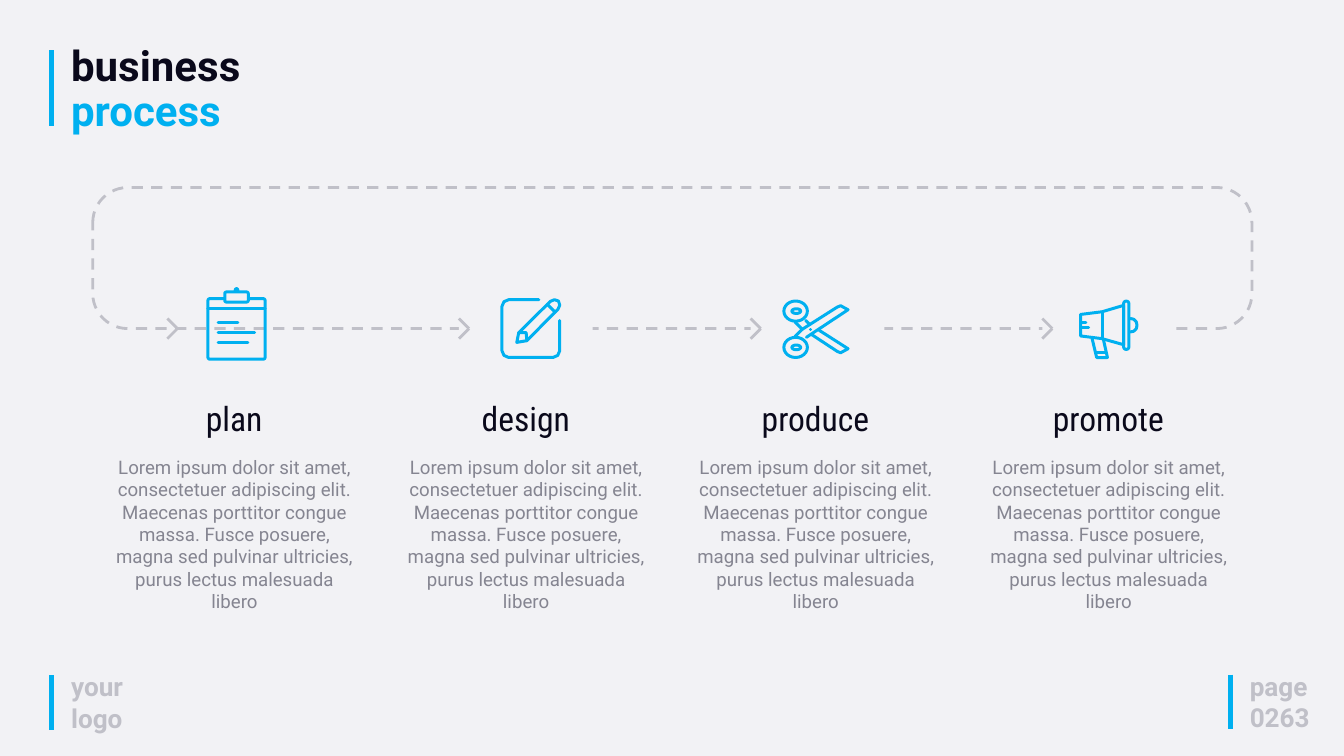
from math import cos, radians, sin

from lxml.etree import SubElement
from pptx import Presentation
from pptx.dml.color import RGBColor
from pptx.enum.dml import MSO_LINE
from pptx.enum.shapes import MSO_CONNECTOR, MSO_SHAPE
from pptx.enum.text import MSO_AUTO_SIZE as AutoSize, PP_ALIGN as Align
from pptx.oxml.ns import qn
from pptx.util import Inches, Pt

COLORS = {
    "background": "F2F2F5",
    "accent": "00B0F0",
    "dark": "0A091B",
    "body": "858591",
    "muted": "C0C0C8",
}
FORMATS = {
    "title": {"name": "Roboto", "size": Pt(45), "bold": True},
    "footer": {"name": "Roboto", "size": Pt(28), "bold": True},
    "heading": {"name": "Roboto Condensed", "size": Pt(36)},
    "body": {"name": "Roboto", "size": Pt(20)},
}
LOREM = (
    "Lorem ipsum dolor sit amet, consectetuer adipiscing elit. Maecenas porttitor congue massa. "
    "Fusce posuere, magna sed pulvinar ultricies, purus lectus malesuada libero"
)
STEPS = [("plan", 1.56), ("design", 5.9), ("produce", 10.21), ("promote", 14.57)]
STEP_PITCH = 4.34
ICON_WEIGHT = 3.2


def color(name):
    return RGBColor.from_string(COLORS[name])


def add_line(shapes, start, end, line_color, weight):
    points = [Inches(value) for value in (*start, *end)]
    line = shapes.add_connector(MSO_CONNECTOR.STRAIGHT, *points)
    line.line.color.rgb = color(line_color)
    line.line.width = Pt(weight)
    SubElement(line._element.spPr, qn("a:effectLst"))


def paint(shape, fill=None, line=None, weight=ICON_WEIGHT):
    shape.shadow.inherit = False
    if fill:
        shape.fill.solid()
        shape.fill.fore_color.rgb = color(fill)
    else:
        shape.fill.background()
    if line:
        shape.line.color.rgb = color(line)
        shape.line.width = Pt(weight)
    else:
        shape.line.fill.background()
    return shape


def add_preset(shapes, preset, box, **style):
    return paint(shapes.add_shape(preset, *map(Inches, box)), **style)


def add_text(shapes, box, paragraphs, style, align=Align.LEFT, spacing=None):
    frame = shapes.add_textbox(*map(Inches, box)).text_frame
    frame.word_wrap = True
    frame.auto_size = AutoSize.SHAPE_TO_FIT_TEXT
    for index, runs in enumerate(paragraphs):
        paragraph = frame.add_paragraph() if index else frame.paragraphs[0]
        paragraph.alignment = align
        paragraph.line_spacing = spacing
        for position, (text, text_color) in enumerate(runs):
            if position:
                paragraph.add_line_break()
            run = paragraph.add_run()
            run.text = text
            for attribute, value in FORMATS[style].items():
                setattr(run.font, attribute, value)
            run.font.color.rgb = color(text_color)


class Icon:
    def __init__(self, slide, left, top):
        self.shapes = slide.shapes.add_group_shape().shapes
        self.left, self.top = left, top

    def locate(self, x, y):
        return Inches(self.left + x / 100), Inches(self.top + y / 100)

    def trace(self, contours, closed=False):
        builder = None
        for contour in contours:
            first, *rest = [self.locate(*point) for point in contour]
            if builder is None:
                builder = self.shapes.build_freeform(*first)
            else:
                builder.move_to(*first)
            builder.add_line_segments(rest, close=closed)
        shape = paint(builder.convert_to_shape(), line="accent")
        outline = shape.line._get_or_add_ln()
        outline.set("cap", "rnd")
        SubElement(outline, qn("a:round"))

    def stroke(self, *points, closed=False):
        self.trace([points], closed)

    def preset(self, preset, x, y, width, height, fill=None, radius=None):
        box = (self.left + x / 100, self.top + y / 100, width / 100, height / 100)
        shape = add_preset(self.shapes, preset, box, fill=fill, line="accent")
        if radius is not None:
            shape.adjustments[0] = radius


def ring(x, y, radius_x, radius_y):
    angles = [radians(angle) for angle in range(0, 361, 15)]
    return [(x + radius_x * cos(angle), y + radius_y * sin(angle)) for angle in angles]


def draw_clipboard(icon):
    icon.preset(MSO_SHAPE.ROUNDED_RECTANGLE, 2.5, 17.5, 85, 90, radius=0.03)
    icon.stroke((2.5, 32.5), (87.5, 32.5))
    icon.preset(MSO_SHAPE.OVAL, 43, 2.5, 4, 5, fill="accent")
    icon.preset(MSO_SHAPE.ROUNDED_RECTANGLE, 27.5, 7.5, 35, 15, fill="background", radius=0.15)
    for row, end in enumerate((47, 72, 62)):
        y = 52.5 + 15 * row
        icon.stroke((17.5, y), (end, y))


def draw_pencil(icon):
    icon.stroke((57, 2), (12, 2), (5, 5), (2, 12), (2, 78), (5, 85), (12, 88),
                (78, 88), (85, 85), (88, 78), (88, 33))
    icon.stroke((24, 65.5), (27, 51), (74, 4.5), (80, 2), (86, 4), (88, 10),
                (85.5, 16), (39, 63), closed=True)
    icon.stroke((27, 51), (38, 51), (39, 63))
    icon.stroke((69.5, 9), (81, 20.5))


def draw_scissors(icon):
    rings = []
    for y in (19, 73):
        rings += [ring(20, y, 17.5, 15), ring(21, y, 6.5, 3.5)]
    rising_blade = [(19, 57), (30, 46), (82, 13), (87, 11), (98, 17), (36, 58)]
    falling_blade = [(55, 47.5), (98, 75), (87, 81), (82, 79), (44, 54)]
    handle = [[(19, 35), (30, 46)], [(35, 33), (41, 39)]]
    pivot = [(42, 46), (42.5, 46)]
    icon.trace([*rings, rising_blade, falling_blade, *handle, pivot])


def draw_megaphone(icon):
    icon.stroke((2, 22), (34, 18), (66, 8.5), (66, 67), (34, 58), (2, 54), closed=True)
    icon.stroke((34, 18), (34, 58))
    icon.preset(MSO_SHAPE.ROUNDED_RECTANGLE, 66, 2, 8, 72, radius=0.5)
    icon.stroke((76, 28), (81, 29), (85, 33), (86, 38), (85, 43), (81, 47), (76, 48))
    icon.stroke((19, 57), (26, 86), (42, 86), (36, 59))
    icon.stroke((25, 78), (40, 78))
    icon.stroke((4, 34), (10, 34))
    icon.stroke((4, 42), (14, 42))


ICONS = [
    (draw_clipboard, 3.07, 4.27),
    (draw_pencil, 7.45, 4.44),
    (draw_scissors, 11.64, 4.44),
    (draw_megaphone, 16.06, 4.46),
]


def add_title(slide, left, top):
    add_line(slide.shapes, (left, top), (left, top + 1.13), "accent", 5)
    runs = [("business", "dark"), ("process", "accent")]
    add_text(slide.shapes, (left + 0.19, top - 0.13, 9.04, 1.42), [runs], "title", spacing=0.9)


def add_footer(slide, left, top, width, lines):
    add_line(slide.shapes, (left, top), (left, top + 0.81), "accent", 5)
    paragraphs = [[(line, "muted")] for line in lines]
    add_text(slide.shapes, (left + 0.19, top - 0.12, width, 1.04), paragraphs, "footer")


def add_loop(slide, left, top, width, height):
    loop = add_preset(slide.shapes, MSO_SHAPE.ROUNDED_RECTANGLE, (left, top, width, height),
                      line="muted", weight=3)
    loop.adjustments[0] = 0.249
    loop.line.dash_style = MSO_LINE.DASH
    bottom = top + height
    for index in range(len(STEPS)):
        x = left + 1.11 + STEP_PITCH * index
        if index:
            add_preset(slide.shapes, MSO_SHAPE.RECTANGLE, (x, top + 0.84, 1.99, 2.52),
                       fill="background")
        tip = (x + 0.15, bottom)
        add_line(slide.shapes, (x, bottom - 0.15), tip, "muted", 3)
        add_line(slide.shapes, tip, (x, bottom + 0.15), "muted", 3)


def add_step(slide, left, top, heading):
    shapes = slide.shapes.add_group_shape().shapes
    add_text(shapes, (left, top + 0.86, 3.86, 2.46), [[(LOREM, "body")]], "body", Align.CENTER)
    add_text(shapes, (left + 0.02, top, 3.81, 0.71), [[(heading, "dark")]], "heading", Align.CENTER)


def main():
    presentation = Presentation()
    presentation.slide_width = Inches(20)
    presentation.slide_height = Inches(11.25)
    slide = presentation.slides.add_slide(presentation.slide_layouts[6])
    slide.background.fill.solid()
    slide.background.fill.fore_color.rgb = color("background")
    add_footer(slide, 0.77, 10.05, 1.19, ["your logo"])
    add_footer(slide, 18.31, 10.04, 1.9, ["page", "0263"])
    add_title(slide, 0.77, 0.75)
    add_loop(slide, 1.38, 2.79, 17.25, 2.1)
    for draw_icon, left, top in ICONS:
        draw_icon(Icon(slide, left, top))
    for heading, left in STEPS:
        add_step(slide, left, 5.87, heading)
    presentation.save("out.pptx")


if __name__ == "__main__":
    main()
